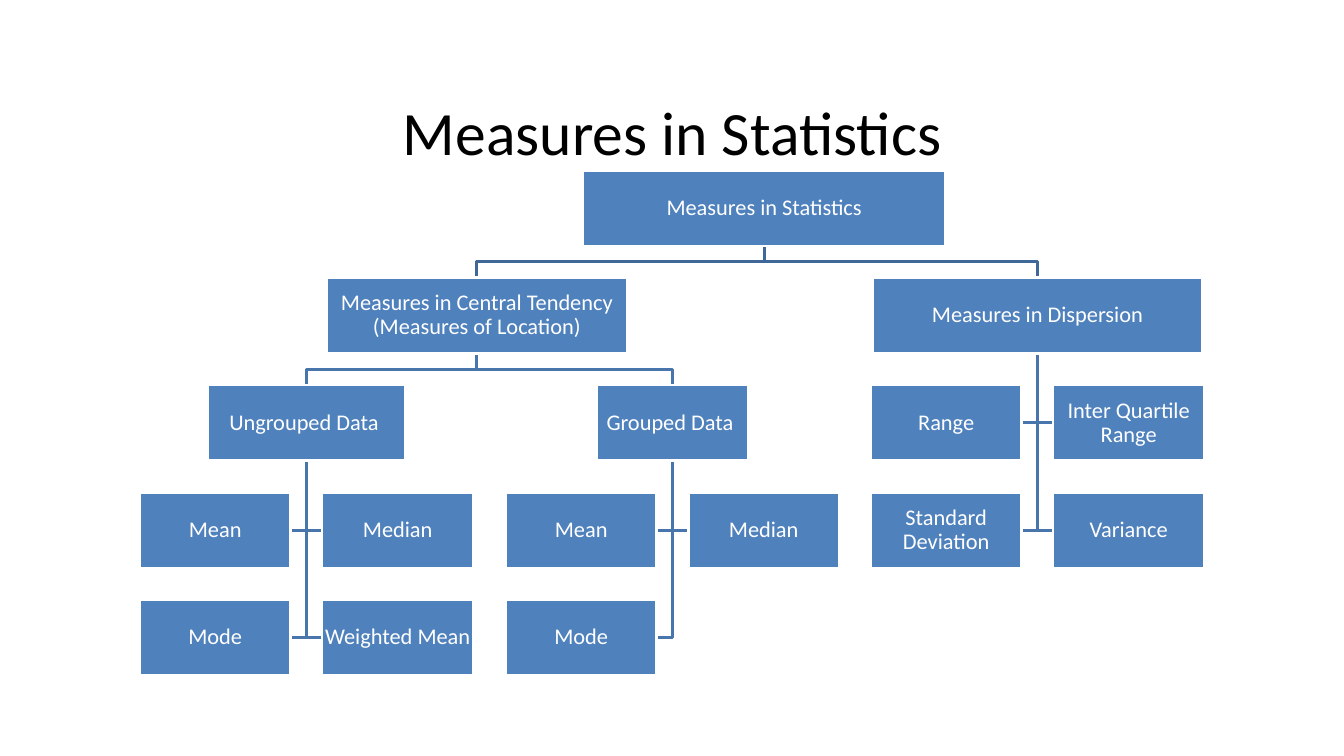
from dataclasses import dataclass

from pptx import Presentation
from pptx.dml.color import RGBColor
from pptx.enum.shapes import MSO_SHAPE
from pptx.enum.text import MSO_ANCHOR, PP_ALIGN
from pptx.util import Inches, Pt

RECTANGLE = MSO_SHAPE.RECTANGLE
MIDDLE = MSO_ANCHOR.MIDDLE
CENTER = PP_ALIGN.CENTER

TOP = 1.69
ROW_PITCH = 1.065
BOX_HEIGHT = 0.75
LEAF_WIDTH = 1.5
LEAF_GAP = 0.31
LEAF_INSET = 0.01


@dataclass(frozen=True)
class Theme:
    font: str = "Calibri"
    title_size: float = 44
    box_size: float = 16
    line_width: float = 2
    title_color: RGBColor = RGBColor(0x00, 0x00, 0x00)
    box_text: RGBColor = RGBColor(0xFF, 0xFF, 0xFF)
    box_fill: RGBColor = RGBColor(0x4F, 0x81, 0xBD)
    box_line: RGBColor = RGBColor(0xFF, 0xFF, 0xFF)
    root_branch: RGBColor = RGBColor(0x3F, 0x67, 0x97)
    branch: RGBColor = RGBColor(0x48, 0x75, 0xAC)


@dataclass(frozen=True)
class Node:
    """A box with branches below it, or leaves in pairs beside its stem."""
    text: str
    center: float
    width: float = LEAF_WIDTH
    branches: tuple["Node", ...] = ()
    leaves: tuple[str, ...] = ()


THEME = Theme()

CHART = Node("Measures in Statistics", 7.58, 3.6, branches=(
    Node("Measures in Central Tendency (Measures of Location)", 4.73, 2.98, branches=(
        Node("Ungrouped Data ", 3.04, 1.97,
             leaves=("Mean", "Median", "Mode", "Weighted Mean")),
        Node("Grouped Data ", 6.67, leaves=("Mean", "Median", "Mode")),
    )),
    Node("Measures in Dispersion", 10.29, 3.27,
         leaves=("Range", "Inter Quartile Range", "Standard Deviation", "Variance")),
))


def row_top(row: int) -> float:
    return TOP + row * ROW_PITCH


def leaf_place(index: int, row: int) -> tuple[int, int]:
    """Return the side of the stem (-1 or 1) and the row of a leaf."""
    return (1 if index % 2 else -1), row + 1 + index // 2


def write_text(shape, text: str, *, size: float, color: RGBColor,
               inset: float | None = None, line_spacing: float = 1.0) -> None:
    frame = shape.text_frame
    frame.word_wrap = True
    frame.vertical_anchor = MIDDLE
    if inset is not None:
        frame.margin_left = frame.margin_right = Inches(inset)
        frame.margin_top = frame.margin_bottom = Inches(inset)
    paragraph = frame.paragraphs[0]
    paragraph.alignment = CENTER
    paragraph.line_spacing = line_spacing
    run = paragraph.add_run()
    run.text = text
    run.font.name = THEME.font
    run.font.size = Pt(size)
    run.font.color.rgb = color


def draw_title(slide, text: str) -> None:
    title = slide.shapes.add_textbox(Inches(0.67), Inches(0.67), Inches(12), Inches(1.25))
    write_text(title, text, size=THEME.title_size, color=THEME.title_color)


def draw_box(slide, text: str, center: float, row: int, width: float) -> None:
    box = slide.shapes.add_shape(RECTANGLE, Inches(center - width / 2), Inches(row_top(row)),
                                 Inches(width), Inches(BOX_HEIGHT))
    box.shadow.inherit = False
    box.fill.solid()
    box.fill.fore_color.rgb = THEME.box_fill
    box.line.color.rgb = THEME.box_line
    box.line.width = Pt(THEME.line_width)
    write_text(box, text, size=THEME.box_size, color=THEME.box_text,
               inset=LEAF_INSET, line_spacing=0.9)


def draw_elbow(slide, points: list[tuple[float, float]], color: RGBColor) -> None:
    start, *rest = [(Inches(x), Inches(y)) for x, y in points]
    builder = slide.shapes.build_freeform(*start)
    builder.add_line_segments(rest, close=False)
    elbow = builder.convert_to_shape()
    elbow.shadow.inherit = False
    elbow.fill.background()
    elbow.line.color.rgb = color
    elbow.line.width = Pt(THEME.line_width)


def draw_elbows(slide, node: Node, row: int = 0) -> None:
    bottom = row_top(row) + BOX_HEIGHT
    next_top = row_top(row + 1)
    bend = (bottom + next_top) / 2
    color = THEME.branch if row else THEME.root_branch
    for branch in node.branches:
        draw_elbow(slide, [(node.center, bottom), (node.center, bend),
                           (branch.center, bend), (branch.center, next_top)], color)
        draw_elbows(slide, branch, row + 1)
    for index in range(len(node.leaves)):
        side, leaf_row = leaf_place(index, row)
        middle = row_top(leaf_row) + BOX_HEIGHT / 2
        draw_elbow(slide, [(node.center, bottom), (node.center, middle),
                           (node.center + side * LEAF_GAP / 2, middle)], color)


def draw_boxes(slide, node: Node, row: int = 0) -> None:
    draw_box(slide, node.text, node.center, row, node.width)
    for branch in node.branches:
        draw_boxes(slide, branch, row + 1)
    for index, leaf in enumerate(node.leaves):
        side, leaf_row = leaf_place(index, row)
        leaf_center = node.center + side * (LEAF_WIDTH + LEAF_GAP) / 2
        draw_box(slide, leaf, leaf_center, leaf_row, LEAF_WIDTH)


def main() -> None:
    presentation = Presentation()
    presentation.slide_width = Inches(13.33)
    presentation.slide_height = Inches(7.5)
    slide = presentation.slides.add_slide(presentation.slide_layouts[6])
    draw_title(slide, "Measures in Statistics")
    draw_elbows(slide, CHART)
    draw_boxes(slide, CHART)
    presentation.save("out.pptx")


if __name__ == "__main__":
    main()
